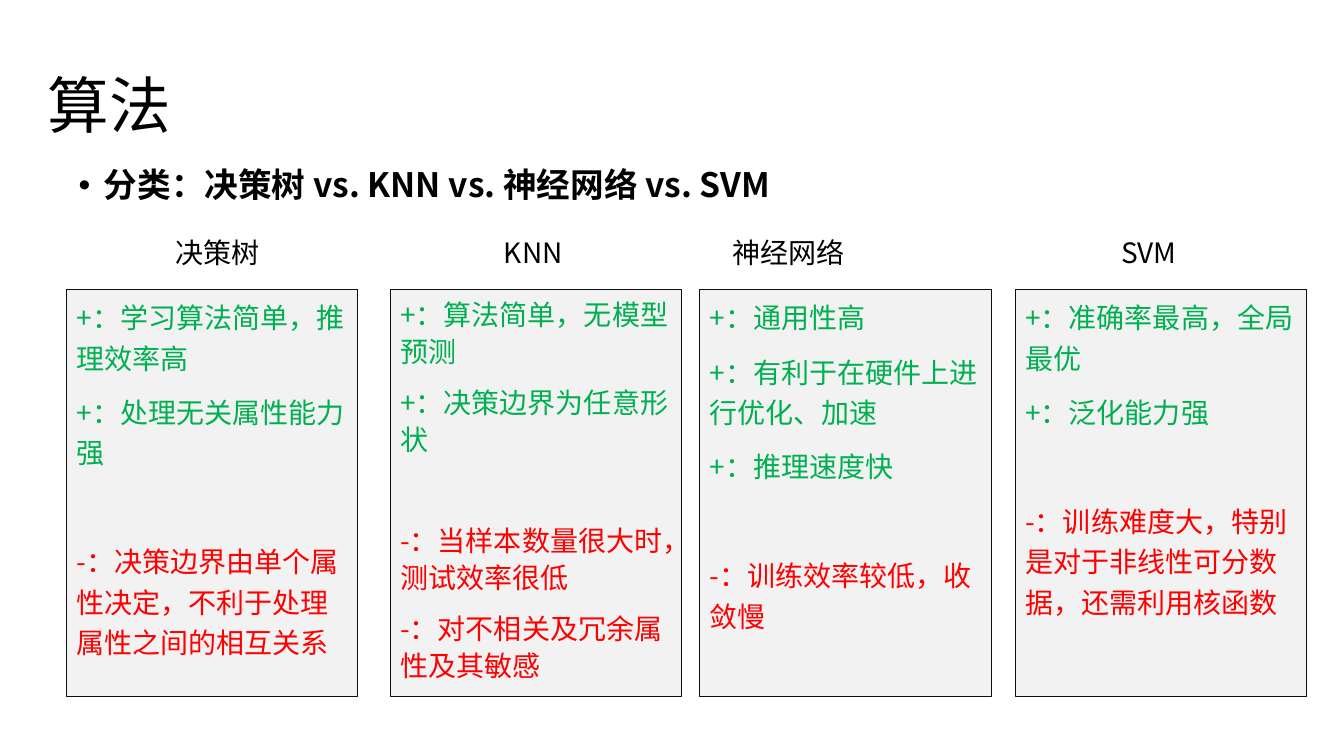
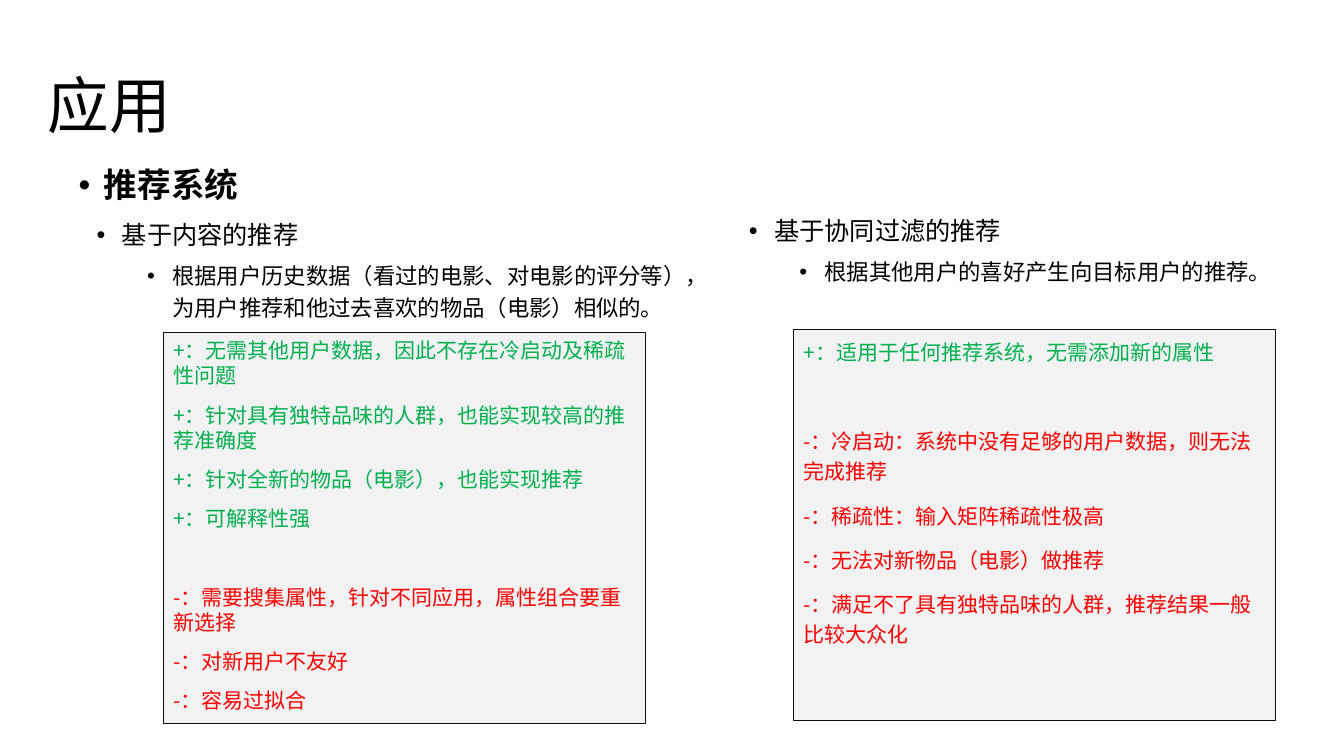
from pptx import Presentation
from pptx.dml.color import RGBColor
from pptx.enum.shapes import MSO_SHAPE
from pptx.enum.text import MSO_ANCHOR, MSO_AUTO_SIZE, PP_ALIGN
from pptx.oxml.ns import qn
from pptx.util import Pt
from lxml.etree import SubElement

PX = 9144  # 100 px to the inch
FONT = "Noto Sans CJK SC"
LINE_HEIGHT = 1.2  # natural line height of the font, in ems
COLORS = {"text": "000000", "panel": "F2F2F2", "border": "0D0D0D",
          "pro": "00B050", "con": "FF0000"}

ALGORITHMS = [  # left edge, line spacing, pros, cons
    (66, 1.2, ["学习算法简单，推理效率高", "处理无关属性能力强"],
     ["决策边界由单个属性决定，不利于处理属性之间的相互关系"]),
    (387, 1.1, ["算法简单，无模型预测", "决策边界为任意形状"],
     ["当样本数量很大时，测试效率很低", "对不相关及冗余属性及其敏感"]),
    (694, 1.2, ["通用性高", "有利于在硬件上进行优化、加速", "推理速度快"],
     ["训练效率较低，收敛慢"]),
    (1007, 1.2, ["准确率最高，全局最优", "泛化能力强"],
     ["训练难度大，特别是对于非线性可分数据，还需利用核函数"]),
]


def px(*lengths):
    return [n * PX for n in lengths]


def rgb(name):
    return RGBColor.from_string(COLORS[name])


def style(p, size, color="text", bold=False, spacing=1.0, before=0):
    p.alignment = PP_ALIGN.LEFT
    p.line_spacing = spacing
    p.space_before = Pt(before)
    for r in p.runs:
        r.font.size = Pt(size)
        r.font.bold = bold
        r.font.color.rgb = rgb(color)
        r.font.name = FONT
        SubElement(r.font._element, qn("a:ea")).set("typeface", FONT)


def add_bullet(p, indent):
    """Hang a round bullet 25 px left of the text indent."""
    pPr = p._p.get_or_add_pPr()
    pPr.set("marL", str(indent * PX))
    pPr.set("indent", str(-25 * PX))
    SubElement(pPr, qn("a:buFont")).set("typeface", "Arial")
    SubElement(pPr, qn("a:buChar")).set("char", "•")


def add_tabs(p, stops):
    tabs = SubElement(p._p.get_or_add_pPr(), qn("a:tabLst"))
    for stop in stops:
        tab = SubElement(tabs, qn("a:tab"))
        tab.set("pos", str(stop * PX))
        tab.set("algn", "l")


def place(sp, *box):
    sp.left, sp.top, sp.width, sp.height = px(*box)


def add_slide(prs, title, topic):
    s = prs.slides.add_slide(prs.slide_layouts[1])
    head, body = s.shapes.title, s.placeholders[1]
    place(head, 37, 35, 1150, 145)
    place(body, 68, 162, 1119, 552)
    for sp, text in ((head, title), (body, topic)):
        sp.text_frame.text = text
        sp.text_frame.auto_size = MSO_AUTO_SIZE.NONE
    head.text_frame.vertical_anchor = MSO_ANCHOR.MIDDLE
    style(head.text_frame.paragraphs[0], 44, spacing=0.9)
    p = body.text_frame.paragraphs[0]
    add_bullet(p, 25)
    style(p, 24, bold=True, spacing=0.9)
    return s


def add_text(s, *box):
    tf = s.shapes.add_textbox(*px(*box)).text_frame
    tf.word_wrap = True
    return tf


def add_column_heads(s, box, names, stops):
    p = add_text(s, *box).paragraphs[0]
    p.text = "\t".join(names)
    add_tabs(p, stops)
    style(p, 20)


def add_method(s, box, name, summary):
    """Write a bulleted method name with its summary one level below."""
    tf = add_text(s, *box)
    tf.text = name
    p = tf.paragraphs[0]
    add_bullet(p, 25)
    style(p, 18, spacing=1.2)
    p = tf.add_paragraph()
    p.text = summary
    p.level = 1
    add_bullet(p, 75)
    style(p, 16, spacing=1.2, before=5)


def add_panel(s, box, size, spacing, pros, cons):
    """Draw a box listing pros, then cons after a gap one line taller."""
    sp = s.shapes.add_shape(MSO_SHAPE.RECTANGLE, *px(*box))
    sp.shadow.inherit = False
    sp.fill.solid()
    sp.fill.fore_color.rgb = rgb("panel")
    sp.line.color.rgb = rgb("border")
    sp.line.width = Pt(0.75)
    tf = sp.text_frame
    tf.word_wrap = True
    tf.vertical_anchor = MSO_ANCHOR.TOP
    con_gap = round(20 + size * LINE_HEIGHT * spacing)
    points = [("+", "pro", t) for t in pros] + [("-", "con", t) for t in cons]
    for i, (sign, color, text) in enumerate(points):
        p = tf.add_paragraph() if i else tf.paragraphs[0]
        p.text = f"{sign}：{text}"
        before = 0 if i == 0 else con_gap if i == len(pros) else 10
        style(p, size, color, spacing=spacing, before=before)


def build_algorithms(prs):
    s = add_slide(prs, "算法", "分类：决策树 vs. KNN vs. 神经网络 vs. SVM")
    add_column_heads(s, (164, 229, 1071, 44),
                     ["决策树", "KNN", "神经网络", "SVM"], [326, 553, 938])
    for left, spacing, pros, cons in ALGORITHMS:
        add_panel(s, (left, 287, 289, 404), 20, spacing, pros, cons)


def build_applications(prs):
    s = add_slide(prs, "应用", "推荐系统")
    add_method(s, (86, 207, 642, 464), "基于内容的推荐",
               "根据用户历史数据（看过的电影、对电影的评分等），"
               "为用户推荐和他过去喜欢的物品（电影）相似的。")
    add_method(s, (733, 203, 528, 464), "基于协同过滤的推荐",
               "根据其他用户的喜好产生向目标用户的推荐。")
    add_panel(s, (162, 330, 478, 388), 15, 1.0,
              ["无需其他用户数据，因此不存在冷启动及稀疏性问题",
               "针对具有独特品味的人群，也能实现较高的推荐准确度",
               "针对全新的物品（电影），也能实现推荐",
               "可解释性强"],
              ["需要搜集属性，针对不同应用，属性组合要重新选择",
               "对新用户不友好",
               "容易过拟合"])
    add_panel(s, (787, 327, 478, 388), 15, 1.2,
              ["适用于任何推荐系统，无需添加新的属性"],
              ["冷启动：系统中没有足够的用户数据，则无法完成推荐",
               "稀疏性：输入矩阵稀疏性极高",
               "无法对新物品（电影）做推荐",
               "满足不了具有独特品味的人群，推荐结果一般比较大众化"])


def main():
    prs = Presentation()
    prs.slide_width, prs.slide_height = px(1333, 750)
    build_algorithms(prs)
    build_applications(prs)
    prs.save("out.pptx")


if __name__ == "__main__":
    main()
